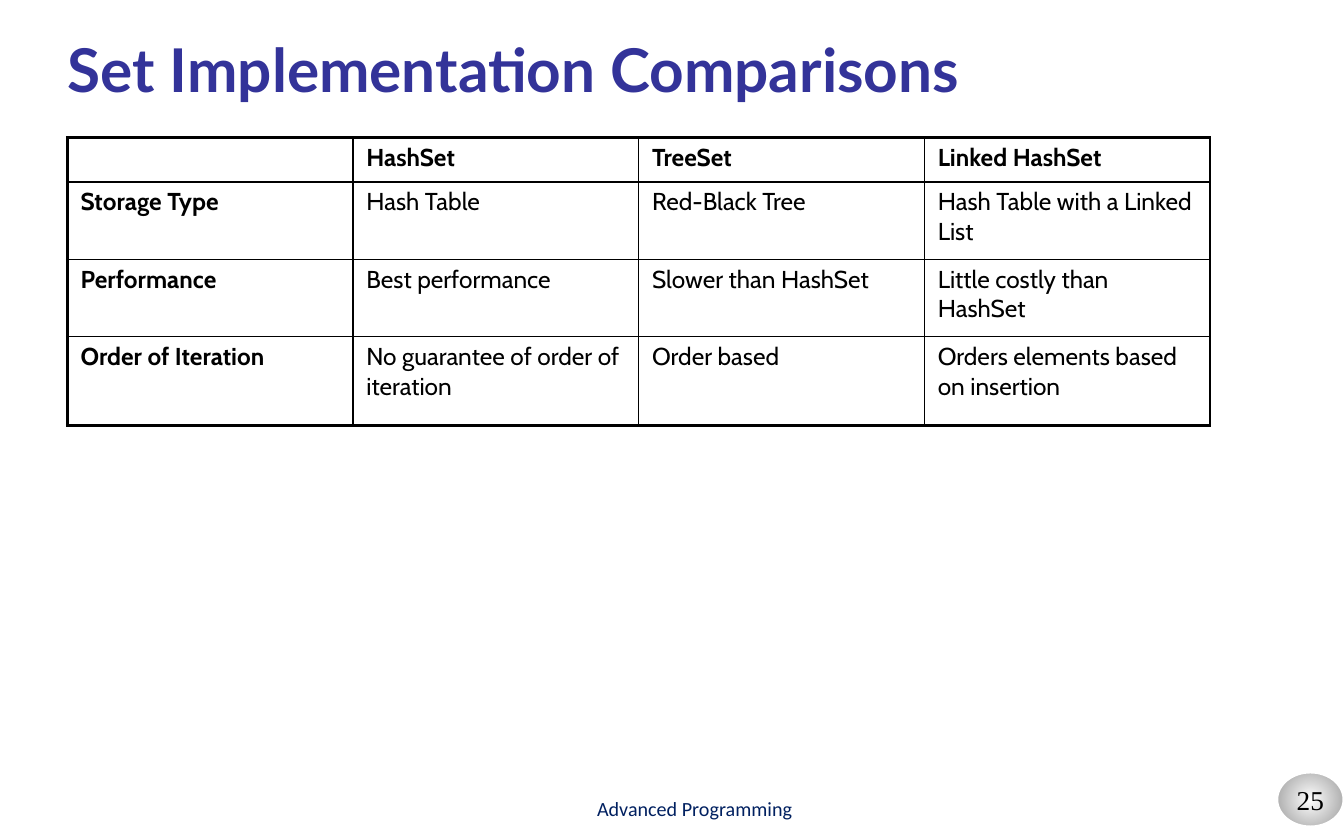
from lxml import etree
from pptx import Presentation
from pptx.dml.color import RGBColor
from pptx.enum.shapes import MSO_SHAPE
from pptx.enum.text import MSO_ANCHOR, PP_ALIGN
from pptx.oxml import parse_xml
from pptx.util import Cm, Pt

OVAL = MSO_SHAPE.OVAL
TOP, MIDDLE, BOTTOM = MSO_ANCHOR.TOP, MSO_ANCHOR.MIDDLE, MSO_ANCHOR.BOTTOM
LEFT, CENTER = PP_ALIGN.LEFT, PP_ALIGN.CENTER
DRAWING = "http://schemas.openxmlformats.org/drawingml/2006/main"

COLOURS = {
    "title": "333399",
    "ink": "000000",
    "footer": "002060",
    "paper": "FFFFFF",
    "badge_edge": "979797",
}
COMPARISON = [
    ["", "HashSet", "TreeSet", "Linked HashSet"],
    ["Storage Type", "Hash Table", "Red-Black Tree", "Hash Table with a Linked List"],
    ["Performance", "Best performance", "Slower than HashSet", "Little costly than HashSet"],
    ["Order of Iteration", "No guarantee of order of iteration", "Order based",
     "Orders elements based on insertion"],
]
ROW_HEIGHTS = [1.09, 1.9, 1.9, 2.18]
COLUMN_WIDTH = 7.02
OUTER_LINE, INNER_LINE = 2.25, 1


class SlideBuilder:
    def __init__(self, slide):
        self.slide = slide

    def colour(self, name):
        return RGBColor.from_string(COLOURS[name])

    def set_text(self, frame, text, font, size, colour, bold=False, align=LEFT):
        frame.text = text
        paragraph = frame.paragraphs[0]
        paragraph.alignment = align
        for run in paragraph.runs:
            run.font.name = font
            run.font.size = Pt(size)
            run.font.bold = bold
            run.font.color.rgb = self.colour(colour)

    def set_frame(self, frame, anchor, wrap):
        frame.word_wrap = wrap
        frame.vertical_anchor = anchor
        frame.margin_left = frame.margin_right = Cm(0.3)
        frame.margin_top = frame.margin_bottom = Cm(0.15)

    def text(self, box, text, font, size, colour, bold=False, align=LEFT):
        frame = self.slide.shapes.add_textbox(*map(Cm, box)).text_frame
        self.set_frame(frame, BOTTOM, True)
        self.set_text(frame, text, font, size, colour, bold, align)

    def page_badge(self, box, number):
        badge = self.slide.shapes.add_shape(OVAL, *map(Cm, box))
        badge.shadow.inherit = False
        badge.line.color.rgb = self.colour("paper")
        badge.line.width = Pt(2)
        badge.fill.gradient()
        for stop, position, name in zip(badge.fill.gradient_stops, (0, 1),
                                        ("paper", "badge_edge")):
            stop.position = position
            stop.color.rgb = self.colour(name)
        gradient = badge.element.spPr.find(f"{{{DRAWING}}}gradFill")
        linear = gradient.find(f"{{{DRAWING}}}lin")
        gradient.replace(linear, parse_xml(
            f'<a:path xmlns:a="{DRAWING}" path="circle">'
            '<a:fillToRect l="50000" t="50000" r="50000" b="50000"/></a:path>'))
        self.set_frame(badge.text_frame, MIDDLE, False)
        self.set_text(badge.text_frame, number, "Times New Roman", 19, "ink", align=CENTER)

    def borders(self, cell, outer_sides):
        properties = cell._tc.get_or_add_tcPr()
        for side, outer in zip("LRTB", outer_sides):
            width = Pt(OUTER_LINE if outer else INNER_LINE)
            line = etree.SubElement(properties, f"{{{DRAWING}}}ln{side}", w=str(int(width)))
            fill = etree.SubElement(line, f"{{{DRAWING}}}solidFill")
            etree.SubElement(fill, f"{{{DRAWING}}}srgbClr", val=COLOURS["ink"])

    def table(self, left, top, rows, column_width, row_heights):
        last_row, last_column = len(rows) - 1, len(rows[0]) - 1
        grid = self.slide.shapes.add_table(
            len(rows), len(rows[0]), Cm(left), Cm(top),
            Cm(column_width * len(rows[0])), Cm(sum(row_heights))).table
        grid.first_row = grid.horz_banding = False
        for column in grid.columns:
            column.width = Cm(column_width)
        for r, (values, height) in enumerate(zip(rows, row_heights)):
            grid.rows[r].height = Cm(height)
            for c, value in enumerate(values):
                cell = grid.cell(r, c)
                self.borders(cell, (c == 0, c == last_column, r == 0, r == last_row))
                cell.fill.background()
                cell.vertical_anchor = TOP
                cell.margin_left = cell.margin_right = Cm(0.33)
                cell.margin_top = cell.margin_bottom = Cm(0.13)
                self.set_text(cell.text_frame, value, "Cabin", 17, "ink", r == 0 or c == 0)


deck = Presentation()
deck.slide_width, deck.slide_height = Cm(33.02), Cm(20.32)
page = SlideBuilder(deck.slides.add_slide(deck.slide_layouts[6]))
page.page_badge((31.37, 18.97, 1.65, 1.35), "25")
page.text((1.37, 0.69, 30.28, 2.03), "Set Implementation Comparisons",
          "Lato", 42, "title", bold=True)
page.table(1.65, 3.38, COMPARISON, COLUMN_WIDTH, ROW_HEIGHTS)
page.text((11.84, 19.2, 10.46, 1.12), "Advanced Programming",
          "Calibri", 14, "footer", align=CENTER)
deck.save("out.pptx")
